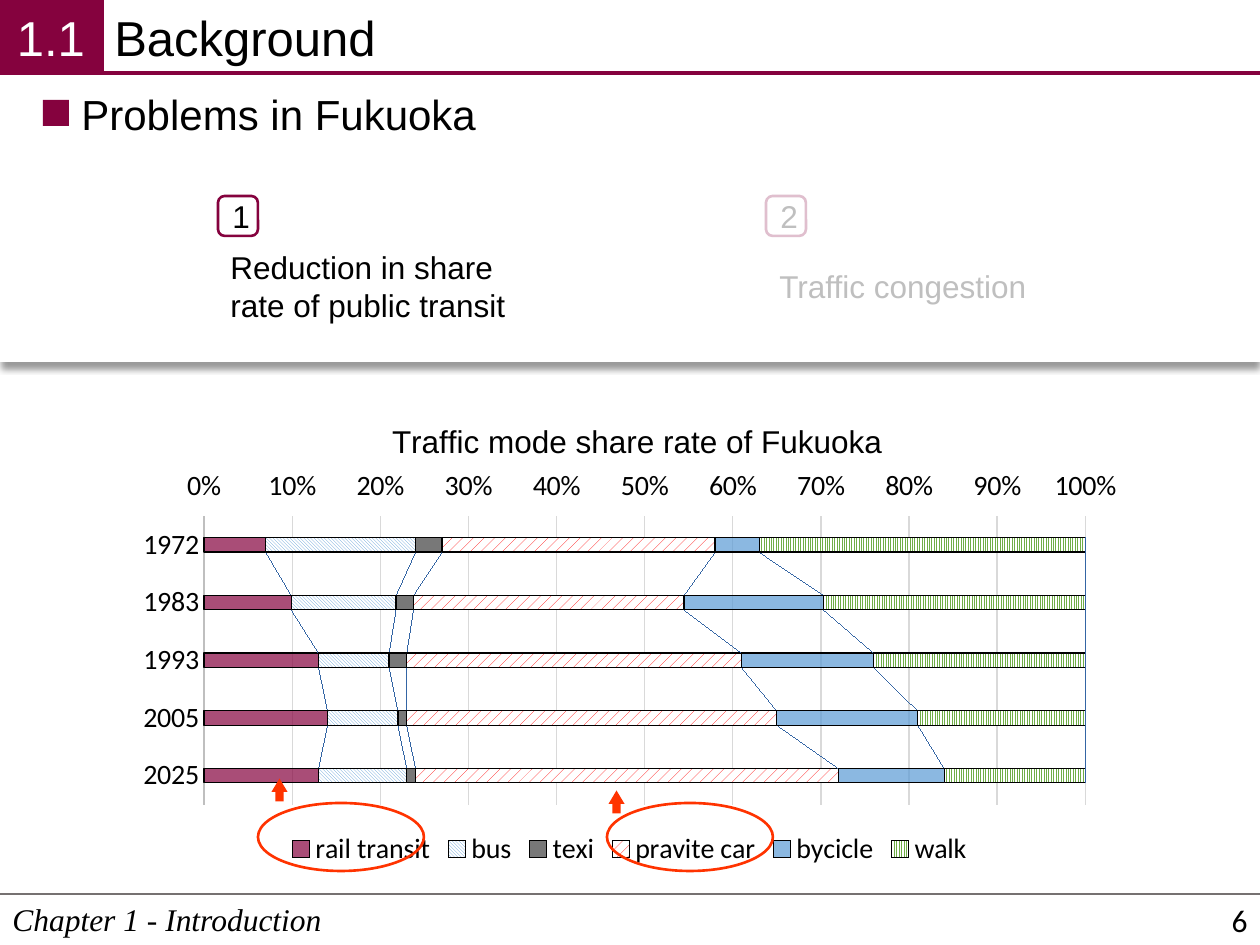
from lxml import etree
from pptx import Presentation, util as u
from pptx.chart.data import CategoryChartData
from pptx.dml.color import RGBColor
from pptx.enum import chart as ch, dml, shapes, text
from pptx.oxml import parse_xml
from pptx.oxml.ns import nsdecls, qn

WINE = RGBColor(0x85, 0x02, 0x3E)
BLACK = RGBColor(0, 0, 0)
WHITE = RGBColor(255, 255, 255)
ORANGE = RGBColor(0xFF, 0x33, 0x00)
RED = RGBColor(255, 0, 0)
BLUE = RGBColor(0x5B, 0x9B, 0xD5)
SERIES_LINE = RGBColor(0x2F, 0x5E, 0xA8)
GREEN = RGBColor(0x70, 0xAD, 0x47)
DARK = RGBColor(0x40, 0x40, 0x40)
FOOTER_GREY = RGBColor(0x76, 0x71, 0x71)
AXIS_GREY = RGBColor(0xBF, 0xBF, 0xBF)
GRID_GREY = RGBColor(0xD9, 0xD9, 0xD9)

PX = 914400 / 126
WIDTH, HEIGHT = 1260, 945

# number, badge left, statement, statement box
PROBLEMS = [
    ("1", 218, "Reduction in share rate of public transit", (218, 242, 307, 89), True),
    ("2", 766, "Traffic congestion", (767, 261, 275, 50), False),
]
CHART_TITLE = "Traffic mode share rate of Fukuoka"
YEARS = ["1972", "1983", "1993", "2005", "2025"]
PATTERN = dml.MSO_PATTERN
# name, values, colour, pattern (None means translucent solid)
MODES = [
    ("rail transit", (7, 10, 13, 14, 13), WINE, None),
    ("bus", (17, 12, 8, 8, 10), BLUE, PATTERN.LIGHT_DOWNWARD_DIAGONAL),
    ("texi", (3, 2, 2, 1, 1), DARK, None),
    ("pravite car", (31, 31, 38, 42, 48), RED, PATTERN.PERCENT_20),
    ("bycicle", (5, 16, 15, 16, 12), BLUE, None),
    ("walk", (37, 30, 24, 19, 16), GREEN, PATTERN.NARROW_VERTICAL),
]
CHART_BOX = (123, 391, 1013, 481)
HIGHLIGHTS = [(258, 803, 166, 68), (607, 803, 166, 68)]
RISE_ARROWS = [(268, 782, 23, 16), (605, 794, 23, 16)]

prs = Presentation()
prs.slide_width, prs.slide_height = round(WIDTH * PX), round(HEIGHT * PX)
slide = prs.slides.add_slide(prs.slide_layouts[6])


def emu(box):
    return [round(v * PX) for v in box]


def style_font(font, size, color=BLACK, name="Arial"):
    font.size, font.name = u.Pt(size), name
    font.color.rgb = color


def set_alpha(fill_parent, percent):
    color = next(fill_parent.iter(qn("a:srgbClr")))
    etree.SubElement(color, qn("a:alpha")).set("val", str(percent * 1000))


def add_shape(kind, box, fill=None, line=None, weight=1.5):
    shape = slide.shapes.add_shape(kind, *emu(box))
    shape.shadow.inherit = False
    if fill is None:
        shape.fill.background()
    else:
        shape.fill.solid()
        shape.fill.fore_color.rgb = fill
    if line is None:
        shape.line.fill.background()
    else:
        shape.line.color.rgb = line
        shape.line.width = u.Pt(weight)
    return shape


def write(shape, words, size, color=BLACK, name="Arial", align=None,
          anchor=text.MSO_ANCHOR.TOP, wrap=True):
    frame = shape.text_frame
    frame.word_wrap, frame.vertical_anchor = wrap, anchor
    frame.text = words
    frame.paragraphs[0].alignment = align
    font = frame.paragraphs[0].runs[0].font
    style_font(font, size, color, name)
    return font


def add_text(box, words, size, **options):
    return write(slide.shapes.add_textbox(*emu(box)), words, size, **options)


def add_rule(left, y, color, weight):
    rule = slide.shapes.add_connector(
        shapes.MSO_CONNECTOR.STRAIGHT, *emu((left, y, WIDTH, y)))
    rule.line.color.rgb, rule.line.width = color, u.Pt(weight)
    etree.SubElement(rule._element.spPr, qn("a:effectLst"))


def manual_layout(inner, **fractions):
    """Layout element that places a chart part by fractions of the chart."""
    target = '<c:layoutTarget val="inner"/>' if inner else ""
    modes = "".join(f'<c:{k}Mode val="edge"/>' for k in "xy")
    values = "".join(f'<c:{k} val="{v}"/>' for k, v in fractions.items())
    return parse_xml(f'<c:layout {nsdecls("c")}><c:manualLayout>{target}{modes}{values}'
                     '</c:manualLayout></c:layout>')


def add_share_chart():
    data = CategoryChartData(number_format="0")
    data.categories = YEARS
    for name, values, _, _ in MODES:
        data.add_series(name, values)
    chart = slide.shapes.add_chart(
        ch.XL_CHART_TYPE.BAR_STACKED_100, *emu(CHART_BOX), data).chart
    style_font(chart.font, 10, name="Calibri")

    title = chart.chart_title
    title.text_frame.text = CHART_TITLE
    title_font = title.text_frame.paragraphs[0].runs[0].font
    style_font(title_font, 18)
    title_font.bold = False
    title._element.find(qn("c:tx")).addnext(manual_layout(False, x=0.26, y=0.05))
    for old in title._element.findall(qn("c:layout"))[1:]:
        title._element.remove(old)

    chart.has_legend = True
    chart.legend.position = ch.XL_LEGEND_POSITION.BOTTOM
    chart.legend.include_in_layout = False
    style_font(chart.legend.font, 16, name="Calibri")

    years, shares = chart.category_axis, chart.value_axis
    for axis in (years, shares):
        style_font(axis.tick_labels.font, 16, name="Calibri")
    years.reverse_order = True
    years.major_tick_mark = ch.XL_TICK_MARK.NONE
    years.format.line.color.rgb = AXIS_GREY
    years.format.line.width = u.Pt(0.75)
    shares.minimum_scale, shares.maximum_scale, shares.major_unit = 0, 1, 0.1
    shares.tick_labels.number_format = "0%"
    shares.tick_labels.number_format_is_linked = False
    shares.format.line.fill.background()
    shares.major_gridlines.format.line.color.rgb = GRID_GREY
    shares.major_gridlines.format.line.width = u.Pt(0.75)

    plot = chart.plots[0]
    plot.vary_by_categories = False
    plot.gap_width, plot.overlap = 300, 100
    for series, (_, _, color, pattern) in zip(plot.series, MODES):
        fill = series.format.fill
        if pattern is None:
            fill.solid()
            fill.fore_color.rgb = color
            set_alpha(series._element.spPr, 70)
        else:
            fill.patterned()
            fill.pattern = pattern
            fill.fore_color.rgb, fill.back_color.rgb = color, WHITE
        series.format.line.color.rgb = BLACK
        series.format.line.width = u.Pt(0.75)

    plot._element.find(qn("c:overlap")).addnext(parse_xml(
        f'<c:serLines {nsdecls("c", "a")}><c:spPr><a:ln w="9525"><a:solidFill>'
        f'<a:srgbClr val="{SERIES_LINE}"/></a:solidFill></a:ln></c:spPr></c:serLines>'))
    area = plot._element.getparent()
    for old in area.findall(qn("c:layout")):
        area.remove(old)
    area.insert(0, manual_layout(True, x=0.08, y=0.26, w=0.87, h=0.6))


SHAPE = shapes.MSO_SHAPE
CENTER, RIGHT = text.PP_ALIGN.CENTER, text.PP_ALIGN.RIGHT
MIDDLE = text.MSO_ANCHOR.MIDDLE

panel = add_shape(SHAPE.RECTANGLE, (0, 74, WIDTH, 288), WHITE)
shadow = panel._element.spPr.find(qn("a:effectLst"))
shadow.append(parse_xml(
    f'<a:outerShdw {nsdecls("a")} blurRad="50800" dist="38100" dir="5400000" algn="t" '
    'rotWithShape="0"><a:srgbClr val="000000"><a:alpha val="40000"/></a:srgbClr></a:outerShdw>'))

add_text((0, 894, WIDTH, 51), "Chapter 1 - Introduction", 18,
         name="Times New Roman").italic = True
add_rule(0, 894, FOOTER_GREY, 1)
add_text((102, 1, 1158, 72), "Background", 28)
section = add_shape(SHAPE.RECTANGLE, (0, 0, 102, 73), WINE, WINE, 2.25)
frame = section.text_frame
frame.margin_left = frame.margin_right = frame.margin_top = frame.margin_bottom = u.Inches(0.06)
write(section, "1.1", 28, WHITE, align=CENTER, anchor=MIDDLE)
add_rule(102, 73, WINE, 2.25)
add_text((976, 894, 284, 51), "6", 18, name="Calibri", align=RIGHT, anchor=MIDDLE)

add_shape(SHAPE.RECTANGLE, (43, 100, 26, 26), WINE)
add_text((69, 82, 425, 63), "Problems in Fukuoka", 24, wrap=False)
for number, left, statement, box, wrap in PROBLEMS:
    add_text(box, statement, 18, wrap=wrap)
    badge = add_shape(SHAPE.ROUNDED_RECTANGLE, (left, 196, 40, 40), line=WINE)
    write(badge, number, 18, align=CENTER, anchor=MIDDLE)
veil = add_shape(SHAPE.RECTANGLE, (719, 170, 369, 161), WHITE)
set_alpha(veil._element.spPr, 75)

add_share_chart()
for box in HIGHLIGHTS:
    add_shape(SHAPE.OVAL, box, line=ORANGE)
for box in RISE_ARROWS:
    arrow = add_shape(SHAPE.RIGHT_ARROW, box, ORANGE)
    arrow.rotation = 270
    arrow.adjustments[1] = 0.83

prs.save("out.pptx")
